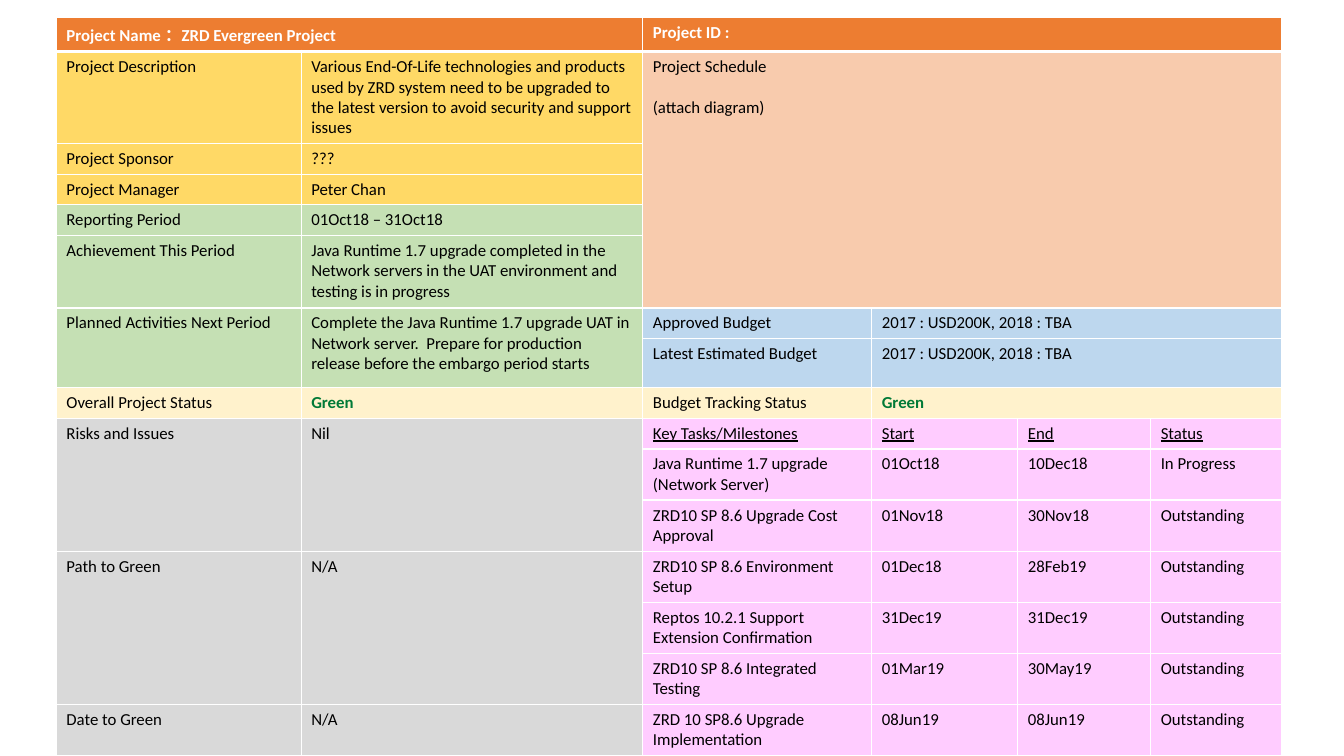
from lxml.etree import SubElement
from pptx import Presentation
from pptx.dml.color import RGBColor
from pptx.oxml.ns import qn
from pptx.util import Cm, Pt

WHITE = RGBColor(0xFF, 0xFF, 0xFF)
BLACK = RGBColor(0x00, 0x00, 0x00)
STATUS_GREEN = RGBColor(0x00, 0x7A, 0x37)
ORANGE = RGBColor(0xED, 0x7D, 0x31)
GOLD = RGBColor(0xFF, 0xD9, 0x66)
SAGE = RGBColor(0xC5, 0xE0, 0xB4)
PEACH = RGBColor(0xF8, 0xCB, 0xAD)
SKY = RGBColor(0xBD, 0xD7, 0xEE)
CREAM = RGBColor(0xFF, 0xF2, 0xCC)
GREY = RGBColor(0xD9, 0xD9, 0xD9)
PINK = RGBColor(0xFF, 0xCC, 0xFF)

# Content: (texts, fill, rows spanned, columns spanned by the last cell)
HEADER = ["Project Name ：ZRD Evergreen Project", "Project ID :"]
PROJECT_DETAILS = [
    (["Project Description",
      "Various End-Of-Life technologies and products used by ZRD system need to be "
      "upgraded to the latest version to avoid security and support issues"], GOLD, 1, 1),
    (["Project Sponsor", "???"], GOLD, 1, 1),
    (["Project Manager", "Peter Chan"], GOLD, 1, 1),
    (["Reporting Period", "01Oct18 – 31Oct18"], SAGE, 1, 1),
    (["Achievement This Period",
      "Java Runtime 1.7 upgrade completed in the Network servers in the UAT "
      "environment and testing is in progress"], SAGE, 1, 1),
    (["Planned Activities Next Period",
      "Complete the Java Runtime 1.7 upgrade UAT in Network server.  Prepare for "
      "production release before the embargo period starts"], SAGE, 2, 1),
    (["Overall Project Status", "Green"], CREAM, 1, 1),
    (["Risks and Issues", "Nil"], GREY, 3, 1),
    (["Path to Green", "N/A"], GREY, 3, 1),
    (["Date to Green", "N/A"], GREY, 1, 1),
]
MILESTONES = [
    ["Key Tasks/Milestones", "Start", "End", "Status"],
    ["Java Runtime 1.7 upgrade (Network Server)", "01Oct18", "10Dec18", "In Progress"],
    ["ZRD10 SP 8.6 Upgrade Cost Approval", "01Nov18", "30Nov18", "Outstanding"],
    ["ZRD10 SP 8.6 Environment Setup", "01Dec18", "28Feb19", "Outstanding"],
    ["Reptos 10.2.1 Support Extension Confirmation", "31Dec19", "31Dec19", "Outstanding"],
    ["ZRD10 SP 8.6 Integrated Testing", "01Mar19", "30May19", "Outstanding"],
    ["ZRD 10 SP8.6 Upgrade Implementation", "08Jun19", "08Jun19", "Outstanding"],
]
SCHEDULE_AND_BUDGET = [
    (["Project Schedule\n(attach diagram)"], PEACH, 5, 4),
    (["Approved Budget", "2017 : USD200K, 2018 : TBA"], SKY, 1, 3),
    (["Latest Estimated Budget", "2017 : USD200K, 2018 : TBA"], SKY, 1, 3),
    (["Budget Tracking Status", "Green"], CREAM, 1, 3),
] + [(texts, PINK, 1, 1) for texts in MILESTONES]

COLUMN_WIDTHS = [6.17, 8.61, 5.77, 3.68, 3.35, 3.3]
ROW_HEIGHTS = [0.76, 2.24, 0.76, 0.76, 0.76, 1.83, 0.76, 1.24, 0.76, 0.74] + [1.24] * 6
BODY_FONT = {"name": "Calibri", "size": Pt(12), "bold": False}
HEADER_FONT = {"bold": True}
STATUS_FONT = {"bold": True}
MILESTONE_HEADING_FONT = {"underline": True}


def add_border(cell, side, width):
    line = SubElement(cell._tc.get_or_add_tcPr(), qn(f"a:ln{side}"), w=str(Pt(width)))
    SubElement(SubElement(line, qn("a:solidFill")), qn("a:srgbClr"), val=str(WHITE))


def write_cell(cell, text, fill, color=BLACK, font_values=None):
    cell.fill.solid()
    cell.fill.fore_color.rgb = fill
    cell.text = text
    for index, paragraph in enumerate(cell.text_frame.paragraphs):
        if index:
            paragraph.space_before = Pt(14.6)
        for run in paragraph.runs:
            for name, value in {**BODY_FONT, **(font_values or {})}.items():
                setattr(run.font, name, value)
            run.font.color.rgb = color


def write_block(table, first_column, entries):
    row = 1
    for texts, fill, row_span, last_span in entries:
        for offset, text in enumerate(texts):
            column = first_column + offset
            last_column = column + (last_span - 1 if offset == len(texts) - 1 else 0)
            cell = table.cell(row, column)
            if row_span > 1 or last_column > column:
                cell.merge(table.cell(row + row_span - 1, last_column))
            if text == "Green":
                write_cell(cell, text, fill, STATUS_GREEN, STATUS_FONT)
            elif texts is MILESTONES[0]:
                write_cell(cell, text, fill, font_values=MILESTONE_HEADING_FONT)
            else:
                write_cell(cell, text, fill)
        row += row_span


presentation = Presentation()
presentation.slide_width, presentation.slide_height = Cm(33.87), Cm(19.05)
slide = presentation.slides.add_slide(presentation.slide_layouts[6])

# Table grid
table = slide.shapes.add_table(
    len(ROW_HEIGHTS), len(COLUMN_WIDTHS), Cm(1.42), Cm(0.43),
    Cm(sum(COLUMN_WIDTHS)), Cm(sum(ROW_HEIGHTS))).table
table.first_row = table.horz_banding = False
for column, width in zip(table.columns, COLUMN_WIDTHS):
    column.width = Cm(width)
for row_index, (row, height) in enumerate(zip(table.rows, ROW_HEIGHTS)):
    row.height = Cm(height)
    for cell in row.cells:
        for side in "LRTB":
            heavy = (row_index, side) in ((0, "B"), (1, "T"))
            add_border(cell, side, 3 if heavy else 1)

# Header row
for text, first, last in zip(HEADER, (0, 2), (1, 5)):
    table.cell(0, first).merge(table.cell(0, last))
    write_cell(table.cell(0, first), text, ORANGE, WHITE, HEADER_FONT)

# Left and right halves
write_block(table, 0, PROJECT_DETAILS)
write_block(table, 2, SCHEDULE_AND_BUDGET)

presentation.save("out.pptx")
